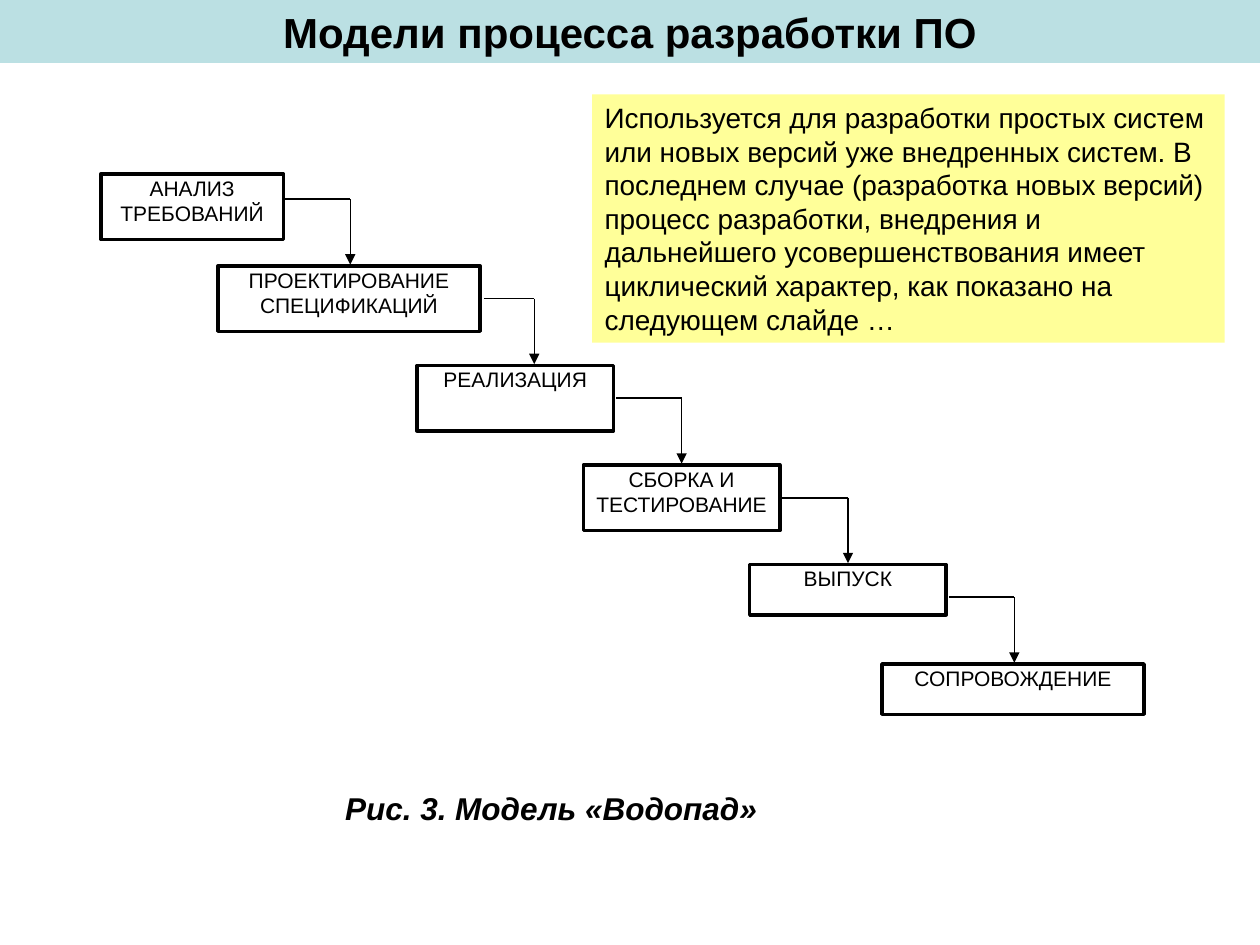
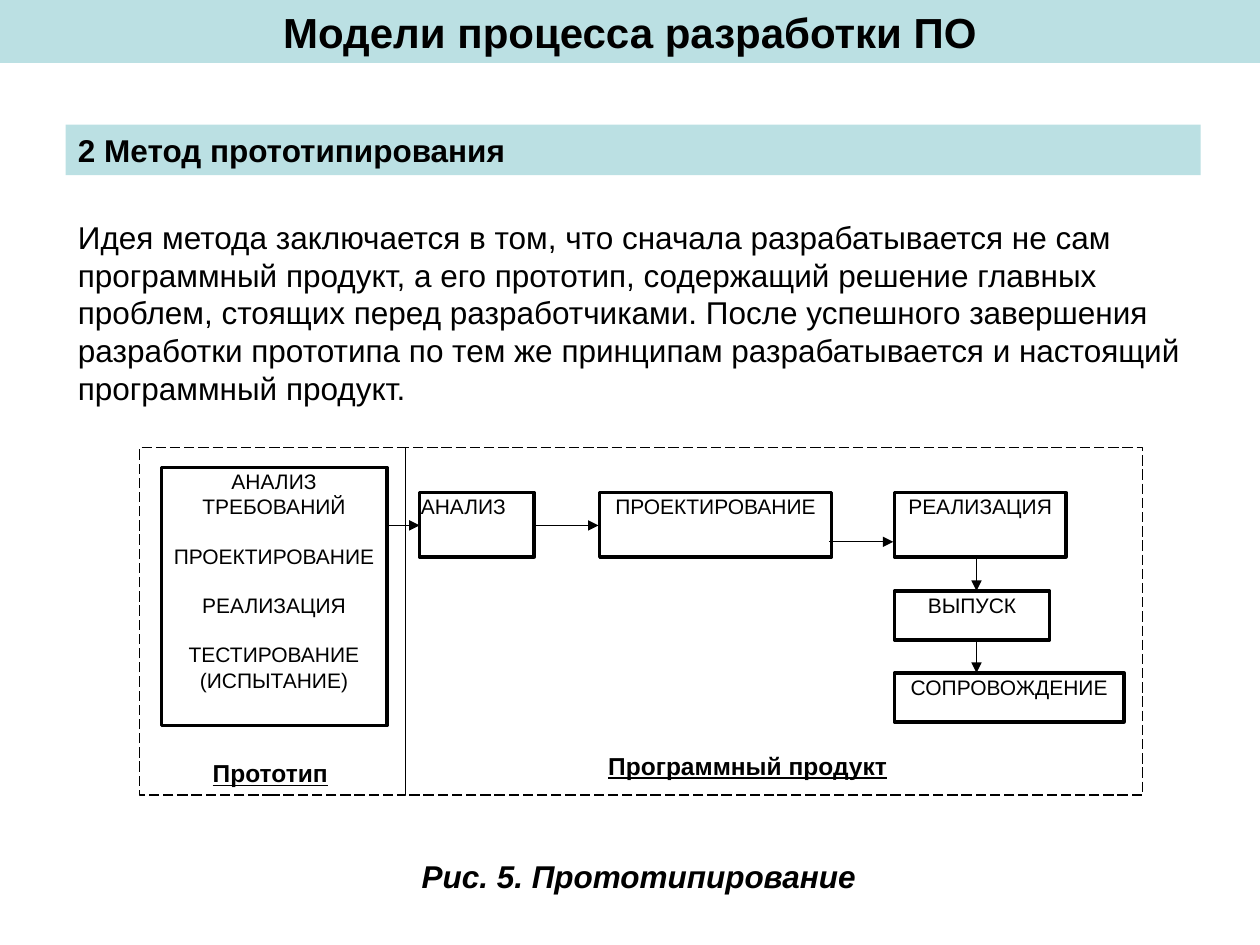
"""Build two slides on software process models: waterfall and prototyping."""
from lxml import etree
from pptx import Presentation
from pptx import util as u
from pptx.dml.color import RGBColor
from pptx.enum import dml, shapes, text
from pptx.oxml.ns import qn

PX = 9144
BLACK, WHITE, BAND, NOTE = "000000", "FFFFFF", "BBE0E3", "FFFF99"
LEFT, CENTER = text.PP_ALIGN.LEFT, text.PP_ALIGN.CENTER
STAGE = dict(fill=WHITE, line=2, inset=1)
BAR = dict(fill=BAND, size=18, bold=True)
CAPTION = dict(size=18, bold=True, italic=True)
LABEL = dict(size=14, bold=True, underline=True)


def box(slide, at, lines=(), fill=None, line=None, dash=None, inset=None,
        size=12, align=CENTER, gaps=(), **style):
    frame = [v * PX for v in at]
    if fill or line:
        area = slide.shapes.add_shape(shapes.MSO_SHAPE.RECTANGLE, *frame)
        area.shadow.inherit = False
    else:
        area = slide.shapes.add_textbox(*frame)
    if fill:
        area.fill.solid()
        area.fill.fore_color.rgb = RGBColor.from_string(fill)
    else:
        area.fill.background()
    if line:
        area.line.color.rgb = RGBColor.from_string(BLACK)
        area.line.width = u.Pt(line)
        area.line.dash_style = dash
    else:
        area.line.fill.background()
    body = area.text_frame
    body.word_wrap = True
    body.vertical_anchor = text.MSO_ANCHOR.TOP
    if inset:
        body.margin_left = body.margin_right = inset * PX
        body.margin_top = body.margin_bottom = inset * PX
    for i, words in enumerate(lines):
        paragraph = body.paragraphs[0] if i == 0 else body.add_paragraph()
        paragraph.alignment = align
        if i in gaps:
            paragraph.space_before = u.Pt(13.8)
        run = paragraph.add_run()
        run.text = words
        run.font.name = "Arial"
        run.font.size = u.Pt(size)
        run.font.color.rgb = RGBColor.from_string(BLACK)
        for name, value in style.items():
            setattr(run.font, name, value)


def connect(slide, x1, y1, x2, y2, width=0.75, arrow=True):
    link = slide.shapes.add_connector(
        shapes.MSO_CONNECTOR.STRAIGHT, x1 * PX, y1 * PX, x2 * PX, y2 * PX)
    link.line.color.rgb = RGBColor.from_string(BLACK)
    link.line.width = u.Pt(width)
    if arrow:
        etree.SubElement(link.line._get_or_add_ln(), qn("a:tailEnd"), type="triangle")
    etree.SubElement(link._element.spPr, qn("a:effectLst"))


deck = Presentation()
deck.slide_width, deck.slide_height = 1000 * PX, 750 * PX
waterfall, prototyping = [deck.slides.add_slide(deck.slide_layouts[6]) for _ in range(2)]
for slide in (waterfall, prototyping):
    box(slide, (0, 0, 1000, 50), ["Модели процесса разработки ПО"],
        **(BAR | dict(size=24)))

stages = [
    ((80, 138, 145, 52), ["АНАЛИЗ ТРЕБОВАНИЙ"]),
    ((173, 211, 208, 52), ["ПРОЕКТИРОВАНИЕ", "СПЕЦИФИКАЦИЙ"]),
    ((331, 290, 156, 52), ["РЕАЛИЗАЦИЯ"]),
    ((463, 369, 156, 52), ["СБОРКА И", "ТЕСТИРОВАНИЕ"]),
    ((595, 448, 156, 40), ["ВЫПУСК"]),
    ((700, 527, 208, 40), ["СОПРОВОЖДЕНИЕ"]),
]
for at, lines in stages:
    box(waterfall, at, lines, **STAGE)

turns = [(225, 278), (384, 424), (489, 541), (621, 673), (753, 805)]
for step, (start, turn) in enumerate(turns):
    level = 158 + 79 * step
    connect(waterfall, start, level, turn, level, width=1, arrow=False)
    connect(waterfall, turn, level, turn, level + 52)

box(waterfall, (264, 621, 409, 40), ["Рис. 3. Модель «Водопад»"], align=LEFT, **CAPTION)
box(waterfall, (470, 75, 502, 197), [
    "Используется для разработки простых систем или новых версий уже внедренных "
    "систем. В последнем случае (разработка новых версий) процесс разработки, "
    "внедрения и дальнейшего усовершенствования имеет циклический характер, "
    "как показано на следующем слайде …"], fill=NOTE, size=16, align=LEFT)

box(prototyping, (52, 99, 901, 40), ["2 Метод прототипирования"], align=LEFT, **BAR)
box(prototyping, (52, 168, 901, 160), [
    "Идея метода заключается в том, что сначала разрабатывается не сам программный "
    "продукт, а его прототип, содержащий решение главных проблем, стоящих перед "
    "разработчиками. После успешного завершения разработки прототипа по тем же "
    "принципам разрабатывается и настоящий программный продукт."], size=18, align=LEFT)

box(prototyping, (128, 371, 179, 205),
    ["АНАЛИЗ ТРЕБОВАНИЙ", "ПРОЕКТИРОВАНИЕ", "РЕАЛИЗАЦИЯ", "ТЕСТИРОВАНИЕ", "(ИСПЫТАНИЕ)"],
    gaps=(1, 2, 3), **STAGE)
product_stages = [
    ((333, 391, 91, 51), "АНАЛИЗ", LEFT),
    ((476, 391, 184, 51), "ПРОЕКТИРОВАНИЕ", CENTER),
    ((710, 391, 136, 51), "РЕАЛИЗАЦИЯ", CENTER),
    ((710, 469, 123, 39), "ВЫПУСК", CENTER),
    ((710, 534, 182, 39), "СОПРОВОЖДЕНИЕ", CENTER),
]
for at, name, align in product_stages:
    box(prototyping, at, [name], align=align, **STAGE)

flows = [(307, 417, 333, 417), (424, 417, 475, 417), (658, 430, 709, 430),
         (775, 443, 775, 469), (775, 508, 775, 534)]
for flow in flows:
    connect(prototyping, *flow)

for left, width in [(111, 211), (322, 585)]:
    box(prototyping, (left, 355, width, 276), line=0.75,
        dash=dml.MSO_LINE.LONG_DASH)

box(prototyping, (234, 675, 546, 40), ["Рис. 5. Прототипирование"], **CAPTION)
box(prototyping, (121, 597, 187, 34), ["Прототип"], **LABEL)
box(prototyping, (451, 591, 285, 34), ["Программный продукт"], **LABEL)

deck.save("out.pptx")
